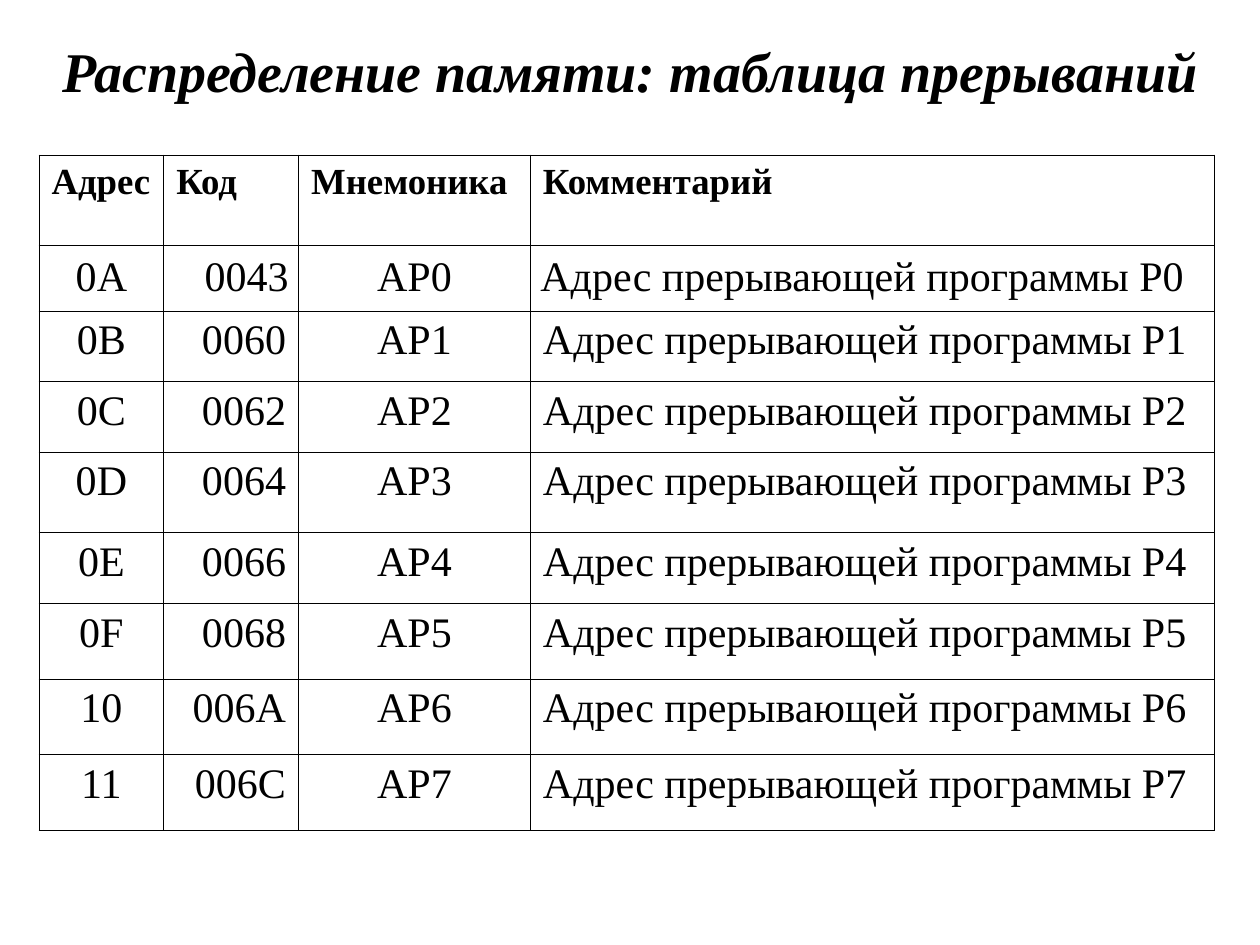
from lxml import etree
from pptx import Presentation
from pptx.dml.color import RGBColor
from pptx.enum.text import MSO_ANCHOR, PP_ALIGN
from pptx.oxml.ns import qn
from pptx.util import Inches, Pt

CENTER, RIGHT, JUSTIFY = PP_ALIGN.CENTER, PP_ALIGN.RIGHT, PP_ALIGN.JUSTIFY
MIDDLE, TOP = MSO_ANCHOR.MIDDLE, MSO_ANCHOR.TOP
FONT = "Times New Roman"
BLACK, WHITE = "000000", "FFFFFF"


def format_text(paragraph, size, alignment, bold=False, italic=False):
    paragraph.alignment = alignment
    for run in paragraph.runs:
        run.font.name = FONT
        run.font.size = Pt(size)
        run.font.bold = bold
        run.font.italic = italic
        run.font.color.rgb = RGBColor.from_string(BLACK)


def format_cell(cell, inset):
    cell.margin_left = cell.margin_right = Inches(inset)
    cell.margin_top = cell.margin_bottom = Inches(0.05)
    cell.vertical_anchor = TOP
    properties = cell._tc.get_or_add_tcPr()
    for side in ("a:lnL", "a:lnR", "a:lnT", "a:lnB"):
        line = etree.SubElement(properties, qn(side), w=str(Pt(0.45)))
        line_fill = etree.SubElement(line, qn("a:solidFill"))
        etree.SubElement(line_fill, qn("a:srgbClr"), val=BLACK)
    cell.fill.solid()
    cell.fill.fore_color.rgb = RGBColor.from_string(WHITE)


presentation = Presentation()
presentation.slide_width = Inches(10)
presentation.slide_height = Inches(7.5)
slide = presentation.slides.add_slide(presentation.slide_layouts[5])

title = slide.shapes.title
title.left, title.top = Inches(0.2), Inches(0.17)
title.width, title.height = Inches(9.61), Inches(0.77)
title.text_frame.text = "Распределение памяти: таблица прерываний"
title.text_frame.vertical_anchor = MIDDLE
format_text(title.text_frame.paragraphs[0], 32, CENTER, bold=True, italic=True)

headers = ["Адрес", "Код", "Мнемоника", "Комментарий"]
addresses = ["0A", "0B", "0C", "0D", "0E", "0F", "10", "11"]
codes = ["0043", "0060", "0062", "0064", "0066", "0068", "006A", "006C"]
rows = [headers]
for number, (address, code) in enumerate(zip(addresses, codes)):
    rows.append([address, code, f"AP{number}", f"Адрес прерывающей программы P{number}"])

column_widths = [0.99, 1.07, 1.84, 5.43]
row_heights = [0.72, 0.52, 0.56, 0.56, 0.64, 0.56, 0.6, 0.6, 0.6]
alignments = [CENTER, RIGHT, CENTER, JUSTIFY]

table = slide.shapes.add_table(
    len(rows), len(headers), Inches(0.31), Inches(1.23),
    Inches(sum(column_widths)), Inches(sum(row_heights)),
).table
table.first_row = False
table.horz_banding = False
for column, width in zip(table.columns, column_widths):
    column.width = Inches(width)
for row, height in zip(table.rows, row_heights):
    row.height = Inches(height)

for row_index, values in enumerate(rows):
    is_header = row_index == 0
    is_first_entry = row_index == 1
    for column_index, value in enumerate(values):
        cell = table.cell(row_index, column_index)
        cell.text_frame.text = value
        format_cell(cell, 0.08 if is_first_entry else 0.1)
        paragraph = cell.text_frame.paragraphs[0]
        if is_header:
            format_text(paragraph, 21, JUSTIFY, bold=True)
        else:
            format_text(paragraph, 24, alignments[column_index])
        if is_first_entry:
            paragraph.line_spacing = 1.05

presentation.save("out.pptx")
